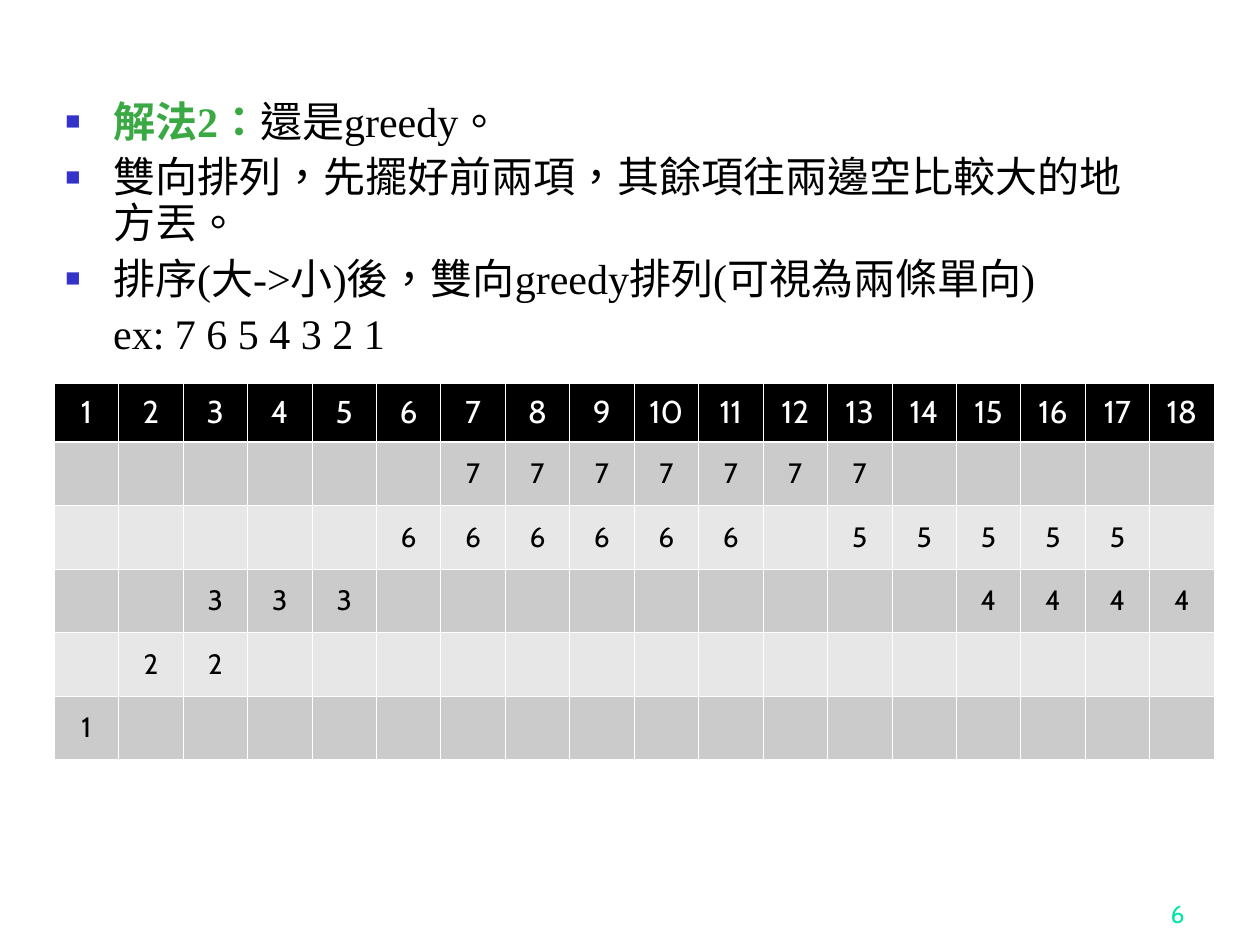
from lxml import etree
from pptx import Presentation
from pptx.dml.color import RGBColor
from pptx.enum.lang import MSO_LANGUAGE_ID
from pptx.enum.text import MSO_ANCHOR, PP_ALIGN
from pptx.oxml.ns import qn
from pptx.util import Inches, Pt

CENTER, RIGHT = PP_ALIGN.CENTER, PP_ALIGN.RIGHT
MIDDLE, BOTTOM = MSO_ANCHOR.MIDDLE, MSO_ANCHOR.BOTTOM
CHINESE = MSO_LANGUAGE_ID.TRADITIONAL_CHINESE
COLORS = {
    "text": "000000", "accent": "3BA943", "bullet": "3333CC", "number": "00E4A8",
    "header": "000000", "header_text": "FFFFFF", "border": "FFFFFF",
    "odd": "CBCBCB", "even": "E7E7E7",
}
SERIF, SANS = "Times New Roman", "Cabin"
COLUMNS = 18
HEADER_HEIGHT = 0.47
HANG = 0.38

POINTS = [
    (True, [("解法2：", "accent"), ("還是greedy。", "text")]),
    (True, [("雙向排列，先擺好前兩項，其餘項往兩邊空比較大的地方丟。", "text")]),
    (True, [("排序(大->小)後，雙向greedy排列(可視為兩條單向)", "text")]),
    (False, [("ex: 7 6 5 4 3 2 1", "text")]),
]
# Each placement is (item value, first column); an item fills as many columns as its value.
PLACEMENTS = [[(7, 7)], [(6, 6), (5, 13)], [(3, 3), (4, 15)], [(2, 2)], [(1, 1)]]


def add_run(p, text, font, size, color, bold=False):
    r = p.add_run()
    r.text = text
    r.font.name, r.font.size, r.font.bold = font, Pt(size), bold
    r.font.color.rgb = RGBColor.from_string(COLORS[color])
    return r


def add_text_frame(s, box):
    tf = s.shapes.add_textbox(*map(Inches, box)).text_frame
    tf.word_wrap = True
    return tf


def set_bullet(p):
    pPr = p._p.get_or_add_pPr()
    color = etree.SubElement(pPr, qn("a:buClr"))
    etree.SubElement(color, qn("a:srgbClr"), val=COLORS["bullet"])
    etree.SubElement(pPr, qn("a:buSzPct"), val="60000")
    etree.SubElement(pPr, qn("a:buFont"), typeface=SERIF)
    etree.SubElement(pPr, qn("a:buChar"), char="■")


def add_points(s, box):
    tf = add_text_frame(s, box)
    for i, (bulleted, runs) in enumerate(POINTS):
        p = tf.add_paragraph() if i else tf.paragraphs[0]
        pPr = p._p.get_or_add_pPr()
        pPr.set("marL", str(Inches(HANG)))
        pPr.set("indent", str(Inches(-HANG if bulleted else 0)))
        if bulleted:
            set_bullet(p)
        p.line_spacing = 0.9
        if i:
            p.space_before = Pt(6)
        for text, color in runs:
            r = add_run(p, text, SERIF, 24, color, color == "accent")
            r.font.language_id = CHINESE


def style_cell(cell, fill, top, bottom):
    tcPr = cell._tc.get_or_add_tcPr()
    for side, width in (("L", 0.45), ("R", 0.45), ("T", top), ("B", bottom)):
        line = etree.SubElement(tcPr, qn("a:ln" + side), w=str(Pt(width)))
        solid = etree.SubElement(line, qn("a:solidFill"))
        etree.SubElement(solid, qn("a:srgbClr"), val=COLORS["border"])
    cell.fill.solid()
    cell.fill.fore_color.rgb = RGBColor.from_string(COLORS[fill])
    cell.vertical_anchor = MIDDLE


def add_placement_table(s, box):
    left, top, width, height = box
    rows = [list(range(1, COLUMNS + 1))]
    for placements in PLACEMENTS:
        row = [""] * COLUMNS
        for value, start in placements:
            row[start - 1:start - 1 + value] = [value] * value
        rows.append(row)
    table = s.shapes.add_table(len(rows), COLUMNS, *map(Inches, box)).table
    for column in table.columns:
        column.width = Inches(width / COLUMNS)
    for i, row in enumerate(rows):
        body_height = (height - HEADER_HEIGHT) / len(PLACEMENTS)
        table.rows[i].height = Inches(body_height if i else HEADER_HEIGHT)
        fill = ("odd" if i % 2 else "even") if i else "header"
        for j, value in enumerate(row):
            cell = table.cell(i, j)
            style_cell(cell, fill, 1.47 if i == 1 else 0.45, 0.45 if i else 1.47)
            p = cell.text_frame.paragraphs[0]
            p.alignment = CENTER
            if value:
                add_run(p, str(value), SANS, 16 if i else 18,
                        "text" if i else "header_text")


def add_slide_number(s, box):
    tf = add_text_frame(s, box)
    tf.vertical_anchor = BOTTOM
    p = tf.paragraphs[0]
    p.alignment = RIGHT
    add_run(p, "6", SANS, 14, "number")


def main():
    prs = Presentation()
    prs.slide_width, prs.slide_height = Inches(10), Inches(7.5)
    s = prs.slides.add_slide(prs.slide_layouts[6])
    add_slide_number(s, (7.42, 6.92, 2.08, 0.5))
    add_points(s, (0.42, 0.75, 8.83, 6.15))
    add_placement_table(s, (0.43, 3.04, 9.21, 2.99))
    prs.save("out.pptx")


if __name__ == "__main__":
    main()
